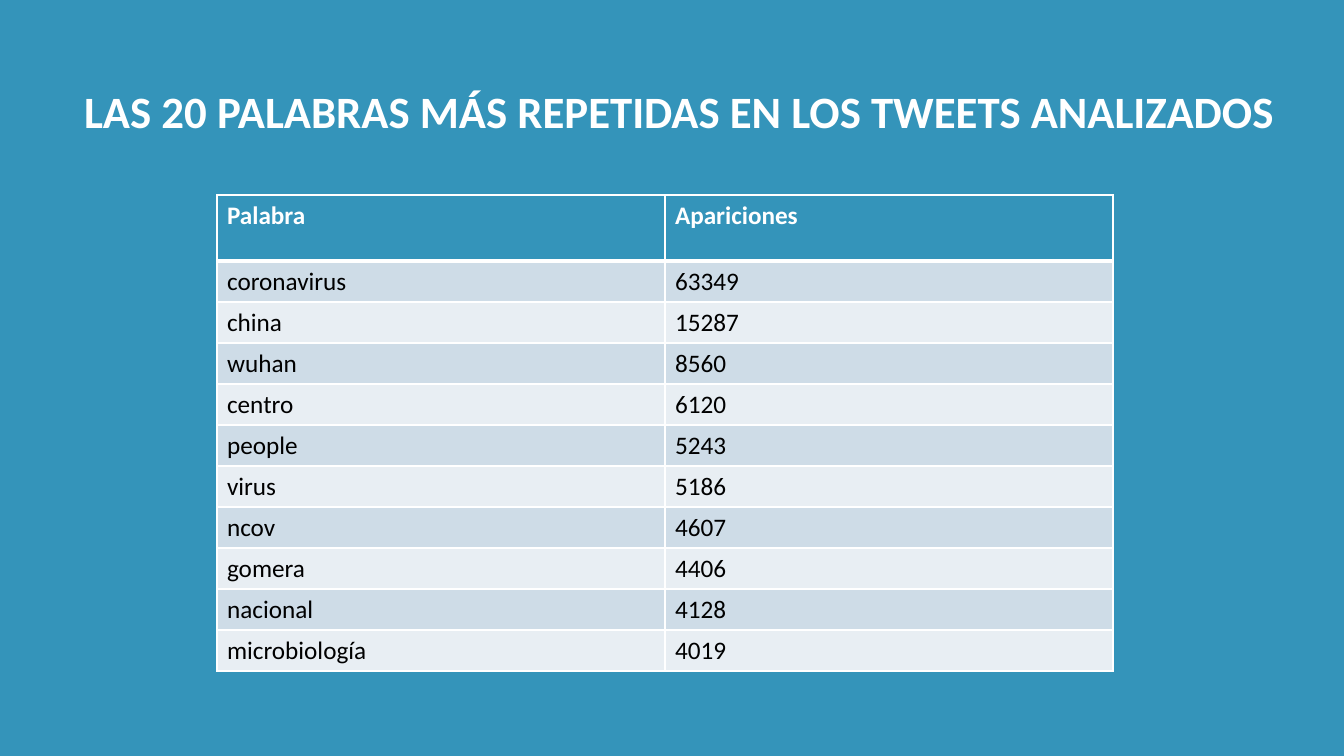
from pptx import Presentation
from pptx.dml.color import RGBColor
from pptx.enum.text import MSO_ANCHOR, MSO_AUTO_SIZE, PP_ALIGN
from pptx.oxml.ns import qn
from pptx.util import Pt
from lxml.etree import SubElement

TITLE = "LAS 20 PALABRAS MÁS REPETIDAS EN LOS TWEETS ANALIZADOS"
ROWS = [
    ("Palabra", "Apariciones"),
    ("coronavirus", "63349"),
    ("china", "15287"),
    ("wuhan", "8560"),
    ("centro", "6120"),
    ("people", "5243"),
    ("virus", "5186"),
    ("ncov", "4607"),
    ("gomera", "4406"),
    ("nacional", "4128"),
    ("microbiología", "4019"),
]

FONT = "Calibri"
BLUE = RGBColor(0x34, 0x94, 0xBA)
WHITE = RGBColor(0xFF, 0xFF, 0xFF)
BLACK = RGBColor(0x00, 0x00, 0x00)
BANDS = [RGBColor(0xE8, 0xEE, 0xF3), RGBColor(0xCE, 0xDC, 0xE7)]

SLIDE_W, SLIDE_H = 1344, 756
TITLE_BOX = (74, 87, 1247, 558)
TABLE_LEFT, TABLE_TOP = 217, 195
COL_W, HEADER_H, ROW_H = 448, 66, 41


def px(n):
    return round(n * 914400 / 100.8)


def style_run(p, size, color, bold):
    font = p.runs[0].font
    font.name, font.size, font.bold = FONT, Pt(size), bold
    font.color.rgb = color


def set_borders(cell, bottom):
    """Give the cell white borders, with its bottom width in points."""
    pr = cell._tc.get_or_add_tcPr()
    for side, width in zip("LRTB", (1, 1, 1, bottom)):
        ln = SubElement(pr, qn(f"a:ln{side}"), w=str(Pt(width)))
        fill = SubElement(ln, qn("a:solidFill"))
        SubElement(fill, qn("a:srgbClr"), val=str(WHITE))


def add_title(slide):
    sp = slide.shapes.title
    sp.left, sp.top, sp.width, sp.height = map(px, TITLE_BOX)
    tf = sp.text_frame
    tf.text = TITLE
    tf.word_wrap = True
    tf.auto_size = MSO_AUTO_SIZE.NONE
    tf.vertical_anchor = MSO_ANCHOR.TOP
    p = tf.paragraphs[0]
    p.alignment = PP_ALIGN.LEFT
    p.line_spacing = 0.85
    p.space_before = Pt(13)
    style_run(p, 32, WHITE, True)


def add_word_table(slide):
    heights = [HEADER_H] + [ROW_H] * (len(ROWS) - 1)
    cols = len(ROWS[0])
    table = slide.shapes.add_table(
        len(ROWS), cols, px(TABLE_LEFT), px(TABLE_TOP),
        px(COL_W * cols), px(sum(heights))).table
    for col in table.columns:
        col.width = px(COL_W)
    for i, (values, height) in enumerate(zip(ROWS, heights)):
        table.rows[i].height = px(height)
        header = i == 0
        for j, value in enumerate(values):
            cell = table.cell(i, j)
            cell.text = value
            style_run(cell.text_frame.paragraphs[0], 18,
                      WHITE if header else BLACK, header)
            set_borders(cell, 3 if header else 1)
            cell.fill.solid()
            cell.fill.fore_color.rgb = BLUE if header else BANDS[i % 2]


def main():
    prs = Presentation()
    prs.slide_width, prs.slide_height = px(SLIDE_W), px(SLIDE_H)
    slide = prs.slides.add_slide(prs.slide_layouts[5])
    slide.background.fill.solid()
    slide.background.fill.fore_color.rgb = BLUE
    add_title(slide)
    add_word_table(slide)
    prs.save("out.pptx")


if __name__ == "__main__":
    main()
